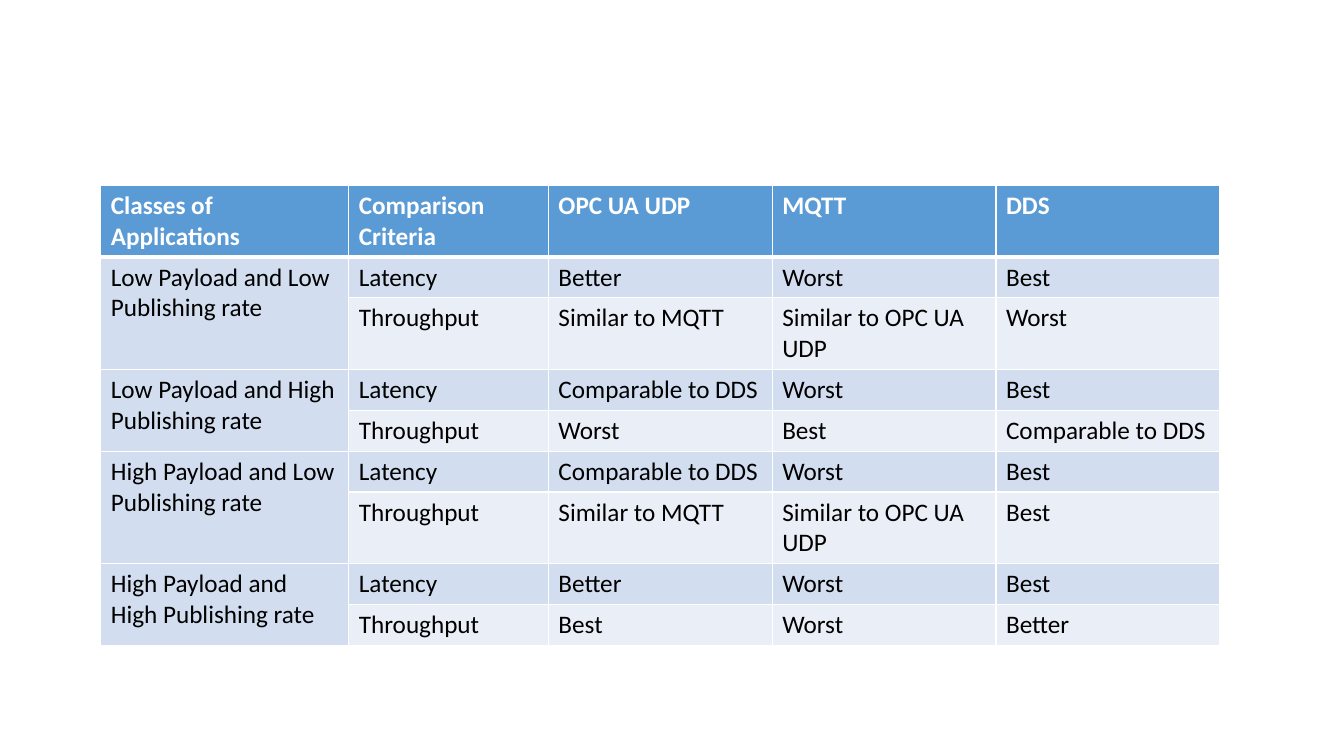
from dataclasses import dataclass

from lxml import etree
from pptx import Presentation
from pptx.dml.color import RGBColor
from pptx.oxml.ns import qn
from pptx.util import Cm, Pt


@dataclass(frozen=True)
class Theme:
    font: str = "Calibri"
    size: int = 18
    white: str = "FFFFFF"
    black: str = "000000"
    header: str = "5B9BD5"
    band_dark: str = "D2DEEF"
    band_light: str = "EAEFF7"
    thin: int = 1
    thick: int = 3


THEME = Theme()

HEADINGS = ["Classes of Applications", "Comparison Criteria", "OPC UA UDP", "MQTT", "DDS"]
# Each class of applications: latency results, then throughput results
CLASSES = [
    ("Low Payload and Low Publishing rate",
     ["Better", "Worst", "Best"],
     ["Similar to MQTT", "Similar to OPC UA UDP", "Worst"]),
    ("Low Payload and High Publishing rate",
     ["Comparable to DDS", "Worst", "Best"],
     ["Worst", "Best", "Comparable to DDS"]),
    ("High Payload and Low Publishing rate",
     ["Comparable to DDS", "Worst", "Best"],
     ["Similar to MQTT", "Similar to OPC UA UDP", "Best"]),
    ("High Payload and High Publishing rate",
     ["Better", "Worst", "Best"],
     ["Best", "Worst", "Better"]),
]
COL_WIDTHS = [6.25, 5.03, 5.64, 5.64, 5.64]
ROW_HEIGHT = 1.03
TABLE_HEIGHT = 11.5


def set_borders(cell, top, bottom):
    """Give a cell white borders; top and bottom are widths in points."""
    tcPr = cell._tc.get_or_add_tcPr()
    widths = {"a:lnL": THEME.thin, "a:lnR": THEME.thin, "a:lnT": top, "a:lnB": bottom}
    for i, (tag, width) in enumerate(widths.items()):
        ln = etree.Element(qn(tag), w=str(Pt(width)))
        fill = etree.SubElement(ln, qn("a:solidFill"))
        etree.SubElement(fill, qn("a:srgbClr"), val=THEME.white)
        tcPr.insert(i, ln)


# Slide
prs = Presentation()
prs.slide_width, prs.slide_height = Cm(33.87), Cm(19.05)
slide = prs.slides.add_slide(prs.slide_layouts[6])

# Rows of text
rows = [HEADINGS]
for name, latency, throughput in CLASSES:
    rows.append([name, "Latency", *latency])
    rows.append(["", "Throughput", *throughput])

# Table grid; rows grow where their text wraps
frame = slide.shapes.add_table(len(rows), len(HEADINGS), Cm(2.54), Cm(4.67),
                               Cm(sum(COL_WIDTHS)), Cm(TABLE_HEIGHT))
table = frame.table
for col, width in zip(table.columns, COL_WIDTHS):
    col.width = Cm(width)
for row in table.rows:
    row.height = Cm(ROW_HEIGHT)
frame.height = Cm(TABLE_HEIGHT)

# Cells
for r, texts in enumerate(rows):
    is_header = r == 0
    for c, text in enumerate(texts):
        cell = table.cell(r, c)
        cell.text = text
        font = cell.text_frame.paragraphs[0].font
        font.name, font.size, font.bold = THEME.font, Pt(THEME.size), is_header
        font.color.rgb = RGBColor.from_string(THEME.white if is_header else THEME.black)
        if is_header:
            color = THEME.header
        elif c == 0 or r % 2:
            color = THEME.band_dark
        else:
            color = THEME.band_light
        cell.fill.solid()
        cell.fill.fore_color.rgb = RGBColor.from_string(color)
        set_borders(cell, THEME.thick if r == 1 else THEME.thin,
                    THEME.thick if is_header else THEME.thin)

# Each class name spans its two criteria
for r in range(1, len(rows), 2):
    table.cell(r, 0).merge(table.cell(r + 1, 0))

prs.save("out.pptx")
